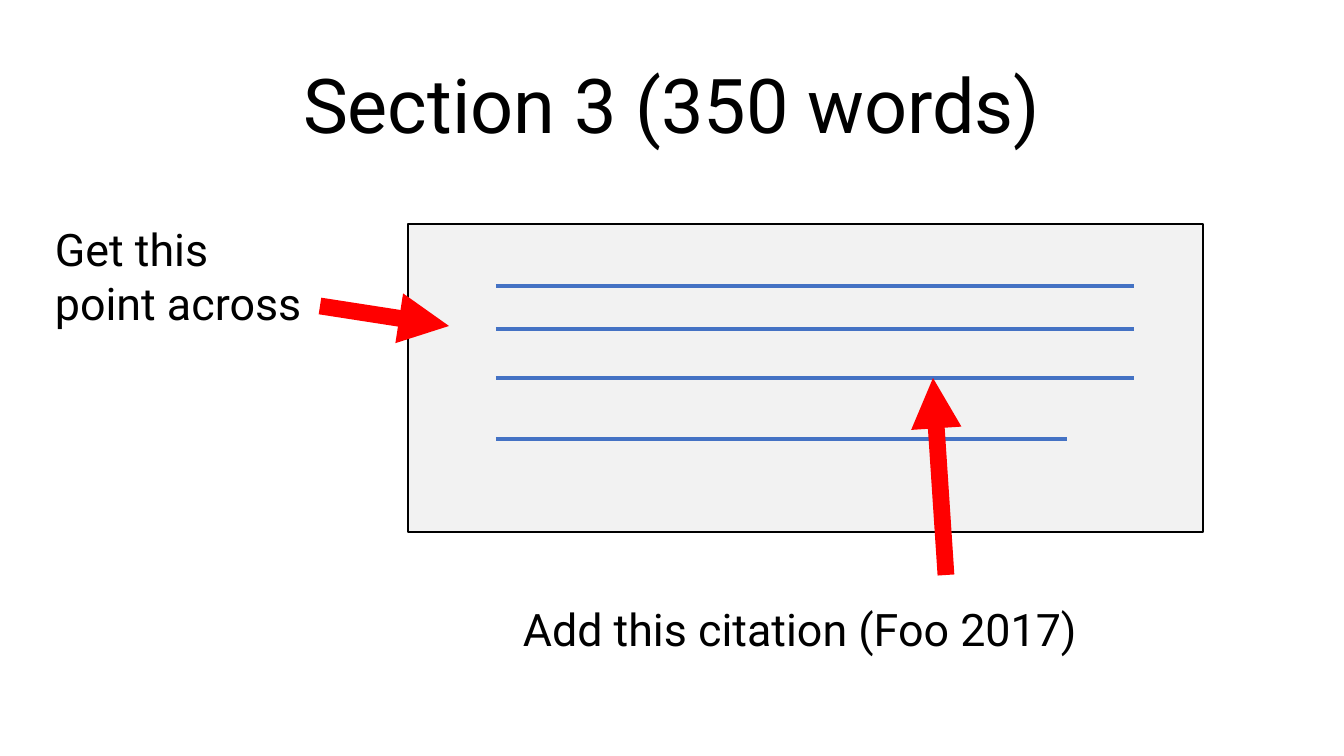
from dataclasses import dataclass

from lxml.etree import SubElement
from pptx import Presentation
from pptx.dml.color import RGBColor
from pptx.enum.shapes import MSO_CONNECTOR as Link, MSO_SHAPE as Kind
from pptx.enum.text import MSO_ANCHOR as Anchor, MSO_AUTO_SIZE as Fit, PP_ALIGN as Align
from pptx.oxml.ns import qn
from pptx.shapes.autoshape import Shape
from pptx.slide import Slide
from pptx.util import Emu, Pt

BLACK = RGBColor(0x00, 0x00, 0x00)
GRAY = RGBColor(0xF2, 0xF2, 0xF2)
BLUE = RGBColor(0x44, 0x72, 0xC4)
RED = RGBColor(0xFF, 0x00, 0x00)
FONT = "Roboto"


def px(num: int) -> Emu:
    return Emu(round(num * 914400 / 100.8))


@dataclass
class Box:
    left: int
    top: int
    width: int
    height: int

    def emu(self) -> tuple[Emu, Emu, Emu, Emu]:
        return px(self.left), px(self.top), px(self.width), px(self.height)


@dataclass
class Note:
    text: str
    box: Box


@dataclass
class Line:
    x1: int
    y1: int
    x2: int
    y2: int
    color: RGBColor = BLUE
    width: float = 3.5
    arrow: bool = False


TITLE = Note("Section 3 (350 words)", Box(293, 53, 758, 102))
PAGE = Box(408, 224, 795, 308)
NOTES = [
    Note("Get this\vpoint across", Box(45, 217, 371, 119)),
    Note("Add this citation (Foo 2017)", Box(513, 597, 621, 65)),
]
LEFT, RIGHT, SHORT = 496, 1134, 1067
RULES = [
    Line(LEFT, y, end, y)
    for y, end in ((286, RIGHT), (329, RIGHT), (378, RIGHT), (439, SHORT))
]
ARROWS = [
    Line(320, 306, 449, 326, RED, 12, True),
    Line(946, 575, 933, 378, RED, 12, True),
]


def write(shape: Shape, text: str, size: int, wrap: bool) -> None:
    frame = shape.text_frame
    frame.text = text
    frame.word_wrap = wrap
    frame.auto_size = Fit.SHAPE_TO_FIT_TEXT
    frame.vertical_anchor = Anchor.TOP
    for para in frame.paragraphs:
        para.alignment = Align.LEFT
        para.font.name = FONT
        para.font.size = Pt(size)
        para.font.color.rgb = BLACK


def add_title(slide: Slide) -> None:
    title = slide.shapes.title
    title.left, title.top, title.width, title.height = TITLE.box.emu()
    write(title, TITLE.text, 54, False)


def add_page(slide: Slide) -> None:
    """Draw the gray sheet that holds the blue text lines."""
    page = slide.shapes.add_shape(Kind.RECTANGLE, *PAGE.emu())
    page.shadow.inherit = False
    page.fill.solid()
    page.fill.fore_color.rgb = GRAY
    page.line.color.rgb = BLACK
    page.line.width = Pt(1)


def add_note(slide: Slide, note: Note) -> None:
    write(slide.shapes.add_textbox(*note.box.emu()), note.text, 32, True)


def add_line(slide: Slide, line: Line) -> None:
    ends = map(px, (line.x1, line.y1, line.x2, line.y2))
    link = slide.shapes.add_connector(Link.STRAIGHT, *ends)
    link.line.color.rgb = line.color
    link.line.width = Pt(line.width)
    if line.arrow:
        SubElement(link.line._get_or_add_ln(), qn("a:tailEnd"), type="triangle")
    SubElement(link._element.spPr, qn("a:effectLst"))


def main() -> None:
    deck = Presentation()
    deck.slide_width, deck.slide_height = px(1344), px(756)
    slide = deck.slides.add_slide(deck.slide_layouts[5])
    add_title(slide)
    add_page(slide)
    for note in NOTES:
        add_note(slide, note)
    for line in RULES + ARROWS:
        add_line(slide, line)
    deck.save("out.pptx")


if __name__ == "__main__":
    main()
